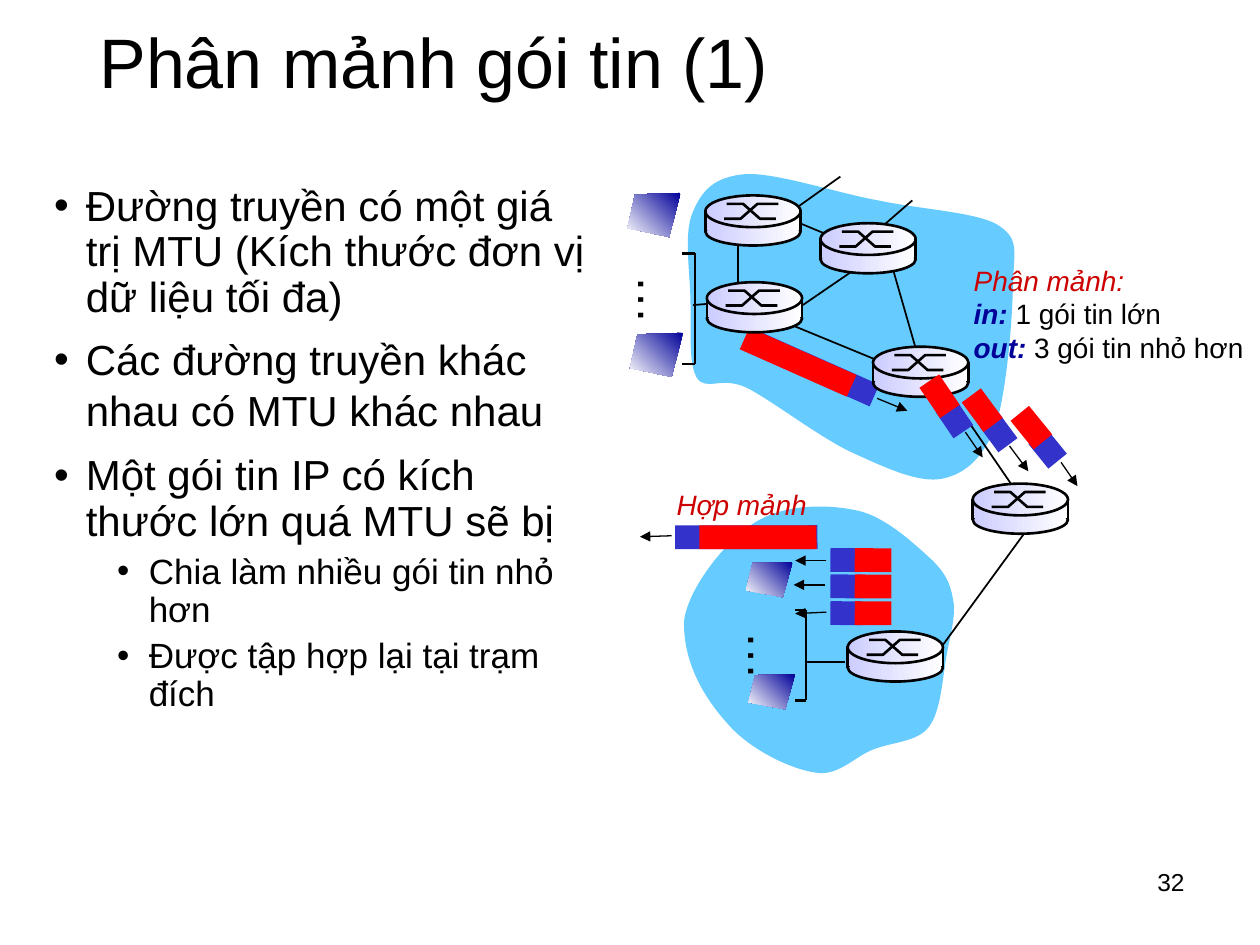
from lxml import etree
from pptx import Presentation
from pptx.dml.color import RGBColor
from pptx.enum.shapes import MSO_CONNECTOR, MSO_SHAPE
from pptx.enum.text import MSO_ANCHOR, PP_ALIGN
from pptx.oxml.ns import qn
from pptx.util import Cm, Pt

STRAIGHT = MSO_CONNECTOR.STRAIGHT
RECT, OVAL = MSO_SHAPE.RECTANGLE, MSO_SHAPE.OVAL
MIDDLE = MSO_ANCHOR.MIDDLE
LEFT, RIGHT = PP_ALIGN.LEFT, PP_ALIGN.RIGHT
FONT = "Arial"
UNIT = Cm(0.01)  # freeform points are in hundredths of a centimetre
COLORS = {name: RGBColor.from_string(value) for name, value in {
    "black": "000000", "white": "FFFFFF", "cloud": "66CCFF", "header": "3333CC",
    "data": "FF0000", "caption": "CC0000", "keyword": "000099", "router": "CCCCFF",
}.items()}

prs = Presentation()
prs.slide_width, prs.slide_height = Cm(25.4), Cm(19.05)
slide = prs.slides.add_slide(prs.slide_layouts[5])
shapes = slide.shapes


def add_line(x1, y1, x2, y2, width=1, arrow=False):
    line = shapes.add_connector(STRAIGHT, Cm(x1), Cm(y1), Cm(x2), Cm(y2))
    line.line.color.rgb = COLORS["black"]
    line.line.width = Pt(width)
    properties = line.element.spPr
    if arrow:
        etree.SubElement(properties.find(qn("a:ln")), qn("a:tailEnd"), type="triangle")
    etree.SubElement(properties, qn("a:effectLst"))


def paint(shape, fill=None, fade=None, border=None, rotation=0):
    """Style a shape; fade is the angle of a gradient from fill to white."""
    shape.shadow.inherit = False
    shape.rotation = rotation
    if fill is None:
        shape.fill.background()
    elif fade is None:
        shape.fill.solid()
        shape.fill.fore_color.rgb = COLORS[fill]
    else:
        shape.fill.gradient()
        shape.fill.gradient_angle = fade
        for stop, color, place in zip(shape.fill.gradient_stops, (fill, "white"), (0, 1)):
            stop.color.rgb = COLORS[color]
            stop.position = place
    if border:
        shape.line.color.rgb = COLORS["black"]
        shape.line.width = Pt(border)
    else:
        shape.line.fill.background()


# Title
title = shapes.title
title.left, title.top, title.width, title.height = Cm(1.75), Cm(0.41), Cm(21.89), Cm(1.85)
title.text_frame.text = "Phân mảnh gói tin (1)"
title.text_frame.vertical_anchor = MIDDLE
heading = title.text_frame.paragraphs[0]
heading.alignment, heading.line_spacing = LEFT, 0.9
heading.font.name, heading.font.size = FONT, Pt(40)
heading.font.color.rgb = COLORS["black"]

# Bullet list
points = [
    (0, "Đường truyền có một giá trị MTU (Kích thước đơn vị dữ liệu tối đa)"),
    (0, "Các đường truyền khác nhau có MTU khác nhau"),
    (0, "Một gói tin IP có kích thước lớn quá MTU sẽ bị"),
    (1, "Chia làm nhiều gói tin nhỏ hơn"),
    (1, "Được tập hợp lại tại trạm đích"),
]
body = shapes.add_textbox(Cm(0.84), Cm(3.61), Cm(11.23), Cm(12.9)).text_frame
body.word_wrap = True
for i, (level, text) in enumerate(points):
    point = body.add_paragraph() if i else body.paragraphs[0]
    point.text = text
    point.level = level
    point.line_spacing = 0.9
    if i:
        point.space_before = Pt((10, 5)[level])
    properties = point._p.get_or_add_pPr()
    properties.set("marL", str(Cm((0.64, 1.91)[level])))
    properties.set("indent", str(Cm(-0.64)))
    etree.SubElement(properties, qn("a:buFont"), typeface=FONT)
    etree.SubElement(properties, qn("a:buChar"), char="•")
    point.font.name, point.font.size = FONT, Pt((24, 20)[level])
    point.font.color.rgb = COLORS["black"]
tall_space = body.paragraphs[1].add_run()
tall_space.text = " "
tall_space.font.size = Pt(28)

# Network clouds: a start point, then three points for each curve
clouds = [
    [(1504, 351), (1440, 356), (1415, 384), (1397, 427), (1377, 470), (1392, 554), (1392, 610),
     (1394, 665), (1387, 732), (1405, 762), (1425, 790), (1453, 757), (1506, 782),
     (1557, 808), (1651, 881), (1717, 912), (1783, 942), (1852, 975), (1900, 965),
     (1946, 955), (1981, 925), (2007, 859), (2029, 792), (2042, 638), (2042, 569),
     (2045, 503), (2055, 480), (2009, 452), (1963, 427), (1854, 422), (1770, 404),
     (1687, 389), (1565, 348), (1504, 351)],
    [(1379, 1252), (1387, 1186), (1463, 1090), (1521, 1054), (1580, 1016), (1666, 1016),
     (1727, 1029), (1786, 1041), (1847, 1100), (1880, 1130), (1913, 1163), (1918, 1186),
     (1923, 1219), (1925, 1250), (1915, 1283), (1908, 1323), (1900, 1367), (1897, 1435),
     (1872, 1466), (1849, 1496), (1798, 1496), (1760, 1511), (1720, 1527), (1689, 1567),
     (1641, 1557), (1590, 1549), (1509, 1509), (1466, 1458), (1420, 1407), (1377, 1336),
     (1379, 1252)],
]
for start, *rest in clouds:
    builder = shapes.build_freeform(*start, scale=UNIT)
    builder.add_line_segments(rest, close=True)
    cloud = builder.convert_to_shape()
    paint(cloud, "cloud")
    segments = list(cloud.element.iter(qn("a:lnTo")))
    for i in range(0, len(rest), 3):
        curve = etree.Element(qn("a:cubicBezTo"))
        segments[i].addprevious(curve)
        for segment in segments[i:i + 3]:
            curve.append(segment[0])
            segment.getparent().remove(segment)

# Links between routers
for link in [
    (13.97, 6.15, 14.33, 6.12), (15.57, 4.27, 17.4, 5.03), (17.93, 5.18, 18.47, 7.06),
    (14.88, 4.57, 14.88, 6.2), (15.54, 6.38, 18.24, 7.49), (20.4, 9.78, 19.08, 7.85),
    (17.7, 5.11, 15.6, 6.55), (16.94, 3.56, 15.62, 4.5), (18.39, 4.04, 17.63, 4.7),
    (20.73, 10.64, 18.95, 13.08), (16.23, 13.34, 17.04, 13.34),
]:
    add_line(*link)

# Whole packets, and the fragments that reach the destination
packets = [
    (14.91, 7.16, 2.84, "header", 23.9), (14.91, 7.06, 2.36, "data", 23.9),
    (13.61, 10.59, 2.87, "header", 179.9), (14.1, 10.59, 2.36, "data", 179.9),
]
for top in (11.05, 11.58, 12.12):
    packets += [(16.74, top, 0.64, "header", 180.4), (17.23, top, 0.74, "data", 180.4)]
for left, top, width, fill, angle in packets:
    paint(shapes.add_shape(RECT, Cm(left), Cm(top), Cm(width), Cm(0.48)), fill, rotation=angle)

# Hosts: two screens, an ellipsis and a bracket for each network
screen = [(107, 0), (15, 3), (0, 71), (84, 89)]
for screens, scale_x, scale_y, dots, bracket in [
    ([(1265, 389), (1270, 671)], 1, 1, (12.5, 5.33), (13.74, 14.01, 5.11, 7.34)),
    ([(1504, 1133), (1509, 1359)], 0.88, 0.8, (14.73, 12.5), (16.03, 16.25, 12.3, 14.12)),
]:
    left, right, top, bottom = bracket
    add_line(left, top, right, top, 1.5)
    add_line(left, bottom, right, bottom, 1.5)
    add_line(right, top, right, bottom)
    for x, y in screens:
        corners = [(x + dx * scale_x, y + dy * scale_y) for dx, dy in screen]
        builder = shapes.build_freeform(*corners[0], scale=UNIT)
        builder.add_line_segments(corners[1:], close=True)
        paint(builder.convert_to_shape(), "keyword", fade=225)
    ellipsis = shapes.add_textbox(Cm(dots[0]), Cm(dots[1]), Cm(1.5), Cm(1.45))
    ellipsis.rotation = 90
    ellipsis.text_frame.text = "…"
    ellipsis.text_frame.word_wrap = False
    mark = ellipsis.text_frame.paragraphs[0].font
    mark.name, mark.size = FONT, Pt(28)
    mark.color.rgb = COLORS["black"]

# Routers
crossing = [[(38, 47), (71, 47), (105, 17), (147, 17)], [(43, 17), (76, 17), (110, 47), (142, 47)]]
for x, y in [(17.6, 6.99), (14.22, 3.94), (14.25, 5.69), (16.54, 4.5), (19.61, 9.75), (17.09, 12.73)]:
    for kind, drop, height, border in [(OVAL, 0.45, 0.56, 1.5), (RECT, 0.37, 0.33, None), (OVAL, 0, 0.64, 1.5)]:
        part = shapes.add_shape(kind, Cm(x), Cm(y + drop), Cm(1.92), Cm(height))
        paint(part, "router", fade=0, border=border)
    for path_points in crossing:
        start, *rest = [(100 * x + dx, 100 * y + dy) for dx, dy in path_points]
        builder = shapes.build_freeform(*start, scale=UNIT)
        builder.add_line_segments(rest, close=False)
        paint(builder.convert_to_shape(), border=1.5)
    for side in (x, x + 1.92):
        add_line(side, y + 0.3, side, y + 0.74, 1.5)

# Fragments that leave the splitting router
for header, data, angle in [
    ((18.92, 8.2), (18.57, 7.75), 55.8),
    ((19.81, 8.48), (19.43, 8.03), 53.6),
    ((20.8, 8.81), (20.42, 8.38), 50.9),
]:
    for (left, top), width, fill in [(header, 0.64, "header"), (data, 0.74, "data")]:
        paint(shapes.add_shape(RECT, Cm(left), Cm(top), Cm(width), Cm(0.48)), fill, rotation=angle)

# Directions of travel
for arrow in [
    (17.68, 8.03, 18.29, 8.28), (13.54, 10.8, 12.9, 10.82),
    (16.66, 11.3, 16.03, 11.3), (16.64, 11.79, 16, 11.79), (16.66, 12.34, 16.03, 12.37),
    (19.46, 8.71, 19.81, 9.22), (20.35, 8.99, 20.73, 9.5), (21.39, 9.32, 21.72, 9.8),
]:
    add_line(*arrow, width=0.75, arrow=True)

# Captions and slide number; each run is text, colour, bold, italic
for box, size, alignment, lines in [
    ((19.38, 5.18, 6.02, 2.31), 16, LEFT, [
        [("Phân mảnh:", "caption", False, True)],
        [("in:", "keyword", True, True), (" 1 gói tin lớn", "black", False, False)],
        [("out:", "keyword", True, True), (" 3 gói tin nhỏ hơn", "black", False, False)]]),
    ((13.39, 9.7, 3.18, 0.94), 16, LEFT, [[("Hợp mảnh", "caption", False, True)]]),
    ((18.21, 17.35, 5.92, 1.27), 14, RIGHT, [[("32", "black", False, False)]]),
]:
    caption = shapes.add_textbox(*map(Cm, box)).text_frame
    caption.word_wrap = alignment == RIGHT
    for i, runs in enumerate(lines):
        paragraph = caption.add_paragraph() if i else caption.paragraphs[0]
        paragraph.alignment = alignment
        for text, color, bold, italic in runs:
            run = paragraph.add_run()
            run.text = text
            run.font.name, run.font.size = FONT, Pt(size)
            run.font.bold, run.font.italic = bold, italic
            run.font.color.rgb = COLORS[color]

prs.save("out.pptx")
